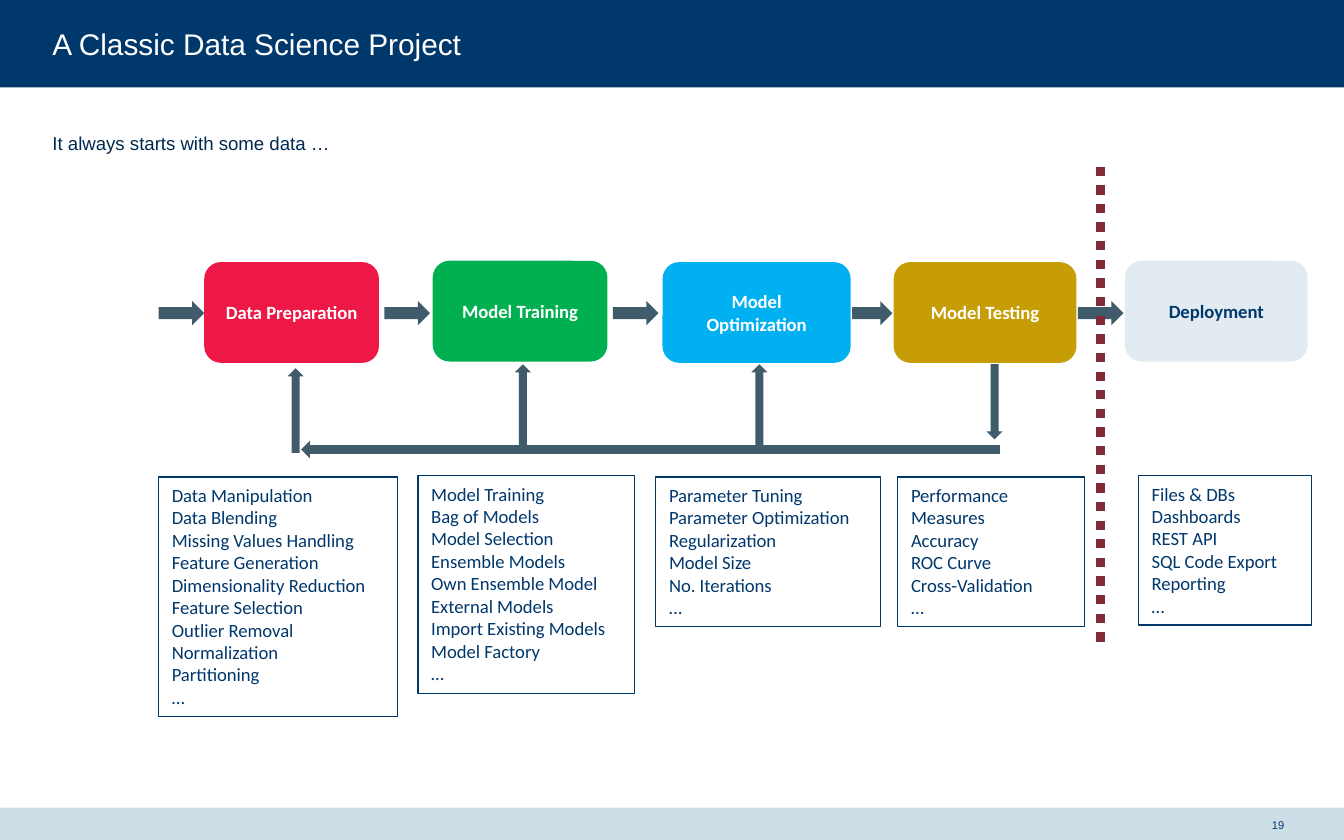
import pptx
import pptx.dml.color
import pptx.enum.dml
import pptx.enum.shapes
import pptx.enum.text
import pptx.oxml
import pptx.oxml.ns
import pptx.util
import lxml.etree

Inches = pptx.util.Inches
Pt = pptx.util.Pt
RGBColor = pptx.dml.color.RGBColor
SHAPE = pptx.enum.shapes.MSO_SHAPE
ANCHOR = pptx.enum.text.MSO_ANCHOR
ALIGN = pptx.enum.text.PP_ALIGN
AUTO_SIZE = pptx.enum.text.MSO_AUTO_SIZE

NAVY = RGBColor(0x00, 0x38, 0x6C)
DARK_NAVY = RGBColor(0x00, 0x2A, 0x51)
PALE_BLUE = RGBColor(0xCD, 0xDE, 0xE7)
SLATE = RGBColor(0x40, 0x5B, 0x69)
WHITE = RGBColor(0xFF, 0xFF, 0xFF)
RED = RGBColor(0xED, 0x18, 0x46)
GREEN = RGBColor(0x00, 0xB0, 0x50)
SKY = RGBColor(0x00, 0xB0, 0xF0)
GOLD = RGBColor(0xC6, 0x9D, 0x06)
MIST = RGBColor(0xE1, 0xEB, 0xF1)
MAROON = RGBColor(0x83, 0x2A, 0x38)

presentation = pptx.Presentation()
presentation.slide_width = Inches(10)
presentation.slide_height = Inches(6.25)
slide = presentation.slides.add_slide(presentation.slide_layouts[1])


def add_filled_shape(kind, left, top, width, height, color, rotation=0):
    shape = slide.shapes.add_shape(
        kind, Inches(left), Inches(top), Inches(width), Inches(height)
    )
    shape.shadow.inherit = False
    shape.fill.solid()
    shape.fill.fore_color.rgb = color
    shape.line.fill.background()
    shape.rotation = rotation
    return shape


def write_text(shape, lines, color, frame_format, font_format, alignment=ALIGN.LEFT):
    frame = shape.text_frame
    frame.text = "\n".join(lines)
    for name, value in {"word_wrap": True, **frame_format}.items():
        setattr(frame, name, value)
    for paragraph in frame.paragraphs:
        paragraph.alignment = alignment
        paragraph.space_before = Pt(0)
        for name, value in font_format.items():
            setattr(paragraph.font, name, value)
        paragraph.font.color.rgb = color


no_margins = dict.fromkeys(
    ["margin_left", "margin_top", "margin_right", "margin_bottom"], 0
)
top_frame = {
    **no_margins,
    "vertical_anchor": ANCHOR.TOP,
    "auto_size": AUTO_SIZE.NONE,
}
middle_frame = {"vertical_anchor": ANCHOR.MIDDLE}
list_frame = {"auto_size": AUTO_SIZE.SHAPE_TO_FIT_TEXT}
stage_font = {"name": "Calibri", "size": Pt(10), "bold": True}
list_font = {"name": "Calibri", "size": Pt(10)}

header = add_filled_shape(SHAPE.RECTANGLE, 0, 0, 10, 0.65, NAVY)
add_filled_shape(SHAPE.RECTANGLE, 0, 6.01, 10, 0.24, PALE_BLUE)

title = slide.shapes.title
body = slide.placeholders[1]
header.element.addnext(title.element)
placeholders = [
    (title, 0.19, 9.22, 0.27, "A Classic Data Science Project", 16, WHITE),
    (body, 0.98, 9.16, 4.71, "It always starts with some data …", 10, DARK_NAVY),
]
for placeholder, top, width, height, text, size, color in placeholders:
    placeholder.left, placeholder.top = Inches(0.39), Inches(top)
    placeholder.width, placeholder.height = Inches(width), Inches(height)
    placeholder.text_frame.text = text
    properties = placeholder.text_frame.paragraphs[0]._p.get_or_add_pPr()
    properties.set("marL", "0")
    properties.set("indent", "0")
    lxml.etree.SubElement(properties, pptx.oxml.ns.qn("a:buNone"))
    font_format = {"name": "Arial", "size": Pt(size)}
    paragraph = placeholder.text_frame.paragraphs[0]
    for name, value in top_frame.items():
        setattr(placeholder.text_frame, name, value)
    paragraph.alignment = ALIGN.LEFT
    paragraph.space_before = Pt(0)
    for name, value in font_format.items():
        setattr(paragraph.font, name, value)
    paragraph.font.color.rgb = color

page_number = slide.shapes.add_textbox(
    Inches(9.41), Inches(6.01), Inches(0.2), Inches(0.26)
)
write_text(
    page_number, ["19"], NAVY, {**no_margins, **middle_frame},
    {"name": "Arial", "size": Pt(6)}, ALIGN.CENTER,
)

for left, width in [(1.18, 0.34), (2.86, 0.34), (4.56, 0.34), (6.34, 0.3), (8.02, 0.34)]:
    add_filled_shape(SHAPE.RIGHT_ARROW, left, 2.24, width, 0.18, SLATE)
for left, top in [(2.14, 2.74), (3.83, 2.71), (5.59, 2.71)]:
    add_filled_shape(SHAPE.DOWN_ARROW, left, top, 0.12, 0.63, SLATE, 180)
add_filled_shape(SHAPE.RIGHT_ARROW, 7.12, 2.93, 0.56, 0.12, SLATE, 90)
add_filled_shape(SHAPE.RIGHT_ARROW, 2.24, 3.28, 5.2, 0.13, SLATE, 180)

stages = [
    ("Data Preparation", 1.52, 1.95, 1.3, RED, WHITE),
    ("Model Training", 3.22, 1.94, 1.3, GREEN, WHITE),
    ("Model Optimization", 4.93, 1.95, 1.4, SKY, WHITE),
    ("Model Testing", 6.65, 1.95, 1.36, GOLD, WHITE),
    ("Deployment", 8.37, 1.94, 1.36, MIST, NAVY),
]
for name, left, top, width, fill, color in stages:
    stage = add_filled_shape(SHAPE.ROUNDED_RECTANGLE, left, top, width, 0.75, fill)
    write_text(stage, [name], color, middle_frame, stage_font, ALIGN.CENTER)

task_lists = [
    (1.18, 3.55, 1.78, 1.78, [
        "Data Manipulation", "Data Blending", "Missing Values Handling",
        "Feature Generation", "Dimensionality Reduction", "Feature Selection",
        "Outlier Removal", "Normalization", "Partitioning", "…",
    ]),
    (3.11, 3.54, 1.61, 1.62, [
        "Model Training", "Bag of Models", "Model Selection", "Ensemble Models",
        "Own Ensemble Model", "External Models", "Import Existing Models",
        "Model Factory", "…",
    ]),
    (4.88, 3.55, 1.67, 1.11, [
        "Parameter Tuning", "Parameter Optimization", "Regularization",
        "Model Size", "No. Iterations", "…",
    ]),
    (6.68, 3.55, 1.39, 1.11, [
        "Performance Measures", "Accuracy", "ROC Curve", "Cross-Validation", "…",
    ]),
    (8.47, 3.54, 1.29, 1.11, [
        "Files & DBs", "Dashboards", "REST API", "SQL Code Export", "Reporting", "…",
    ]),
]
for left, top, width, height, tasks in task_lists:
    task_box = slide.shapes.add_textbox(
        Inches(left), Inches(top), Inches(width), Inches(height)
    )
    task_box.line.color.rgb = NAVY
    task_box.line.width = Pt(0.75)
    write_text(task_box, tasks, NAVY, list_frame, list_font)

divider = slide.shapes.add_connector(
    pptx.enum.shapes.MSO_CONNECTOR.STRAIGHT,
    Inches(8.19), Inches(1.24), Inches(8.19), Inches(4.78),
)
divider.line.color.rgb = MAROON
divider.line.width = Pt(5)
divider.line.dash_style = pptx.enum.dml.MSO_LINE.ROUND_DOT
lxml.etree.SubElement(divider.element.spPr, pptx.oxml.ns.qn("a:effectLst"))

presentation.save("out.pptx")
